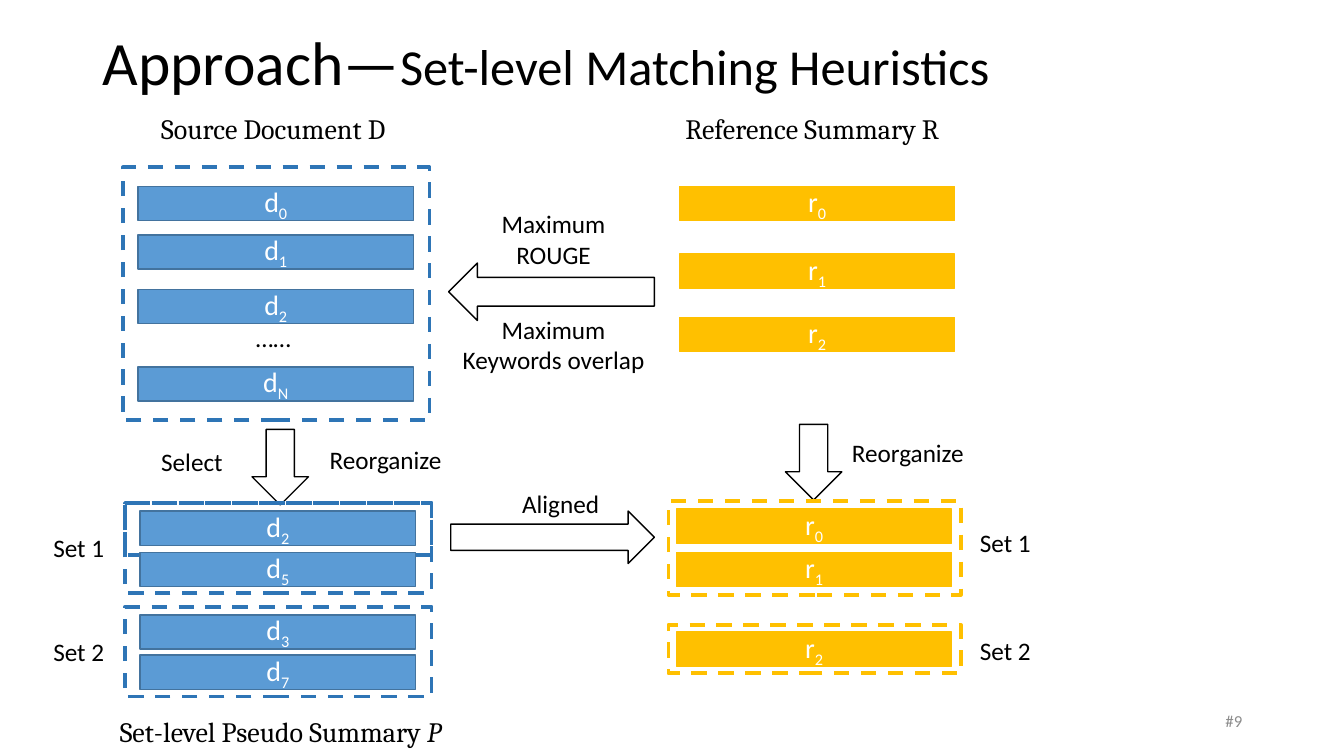
"""Build the slide on set-level matching heuristics."""
from pptx import Presentation
from pptx.dml.color import RGBColor
from pptx.enum.dml import MSO_LINE_DASH_STYLE as DASH
from pptx.enum.shapes import MSO_SHAPE as SHAPE
from pptx.enum.text import MSO_ANCHOR as ANCHOR, PP_ALIGN as ALIGN
from pptx.util import Emu, Pt

PX = 9144
BAR_WIDTH, BAR_HEIGHT = 273, 34
COLORS = {
    "black": "000000", "white": "FFFFFF", "gray": "8C8C8C",
    "blue": "5B9BD5", "blue_edge": "43739E", "blue_frame": "2E75B6",
    "gold": "FFC000",
}
DOCUMENT = {"fill": "blue", "edge": "blue_edge", "frame": "blue_frame"}
SUMMARY = {"fill": "gold", "edge": "gold", "frame": "gold"}


def color(name):
    """Return the named colour."""
    return RGBColor.from_string(COLORS[name])


def emu(box):
    """Turn a box in px into lengths in EMU."""
    return [Emu(length * PX) for length in box]


def add_span(para, text, size, name="black", font="Calibri"):
    """Add one formatted run to a paragraph."""
    span = para.add_run()
    span.text = text
    span.font.size = Pt(size)
    span.font.name = font
    span.font.color.rgb = color(name)
    return span


def add_text(page, box, lines, size=18, name="black", font="Calibri",
             align=ALIGN.LEFT, anchor=ANCHOR.TOP, wrap=False):
    """Add a text box with one paragraph per line and return its frame."""
    frame = page.shapes.add_textbox(*emu(box)).text_frame
    frame.word_wrap = wrap
    frame.vertical_anchor = anchor
    for index, line in enumerate(lines):
        para = frame.add_paragraph() if index else frame.paragraphs[0]
        para.alignment = align
        add_span(para, line, size, name, font)
    return frame


def add_block(page, kind, box, fill, edge, weight=1):
    """Add a preset shape with a plain fill and outline."""
    block = page.shapes.add_shape(kind, *emu(box))
    block.shadow.inherit = False
    if fill:
        block.fill.solid()
        block.fill.fore_color.rgb = color(fill)
    else:
        block.fill.background()
    block.line.color.rgb = color(edge)
    block.line.width = Pt(weight)
    return block


def add_frame(page, box, name):
    """Add a dashed frame."""
    frame = add_block(page, SHAPE.RECTANGLE, box, None, name, 2.75)
    frame.line.dash_style = DASH.DASH


def add_bar(page, left, top, label, palette):
    """Add a sentence bar whose label is a letter with a subscript."""
    bar = add_block(page, SHAPE.RECTANGLE, (left, top, BAR_WIDTH, BAR_HEIGHT),
                    palette["fill"], palette["edge"])
    bar.text_frame.vertical_anchor = ANCHOR.MIDDLE
    para = bar.text_frame.paragraphs[0]
    para.alignment = ALIGN.CENTER
    add_span(para, label[0], 20, "white")
    index = add_span(para, label[1:], 20, "white")
    index.font._element.set("baseline", "-25000")


def sentence_group(page, box, palette, bars, framed=True):
    """Place bars centred across a box, each at its offset from the top."""
    left, top, width, _ = box
    if framed:
        add_frame(page, box, palette["frame"])
    for label, offset in bars.items():
        add_bar(page, left + (width - BAR_WIDTH) // 2, top + offset, label, palette)


def title_region(page, box):
    """Write the two-size title."""
    frame = add_text(page, box, ["Approach—"], 44, anchor=ANCHOR.MIDDLE, wrap=True)
    frame.paragraphs[0].line_spacing = 0.9
    add_span(frame.paragraphs[0], "Set-level Matching Heuristics", 36)


def document_region(page, box):
    """Draw the source document with its heading and sentences."""
    left, top, _, _ = box
    add_text(page, (left + 28, top - 60, 255, 44), ["Source Document D"], 20, font="Cambria")
    sentence_group(page, box, DOCUMENT, {"d0": 19, "d1": 67, "d2": 121, "dN": 198})
    add_text(page, (left + 122, top + 149, 61, 66), ["……"])


def reference_region(page, box):
    """Draw the reference summary with its heading and sentences."""
    left, top, _, _ = box
    add_text(page, (left - 4, top - 79, 275, 44), ["Reference Summary R"], 20, font="Cambria")
    sentence_group(page, box, SUMMARY, {"r0": 0, "r1": 67, "r2": 130}, framed=False)


def matching_region(page, box):
    """Draw the matching arrow between its two criteria."""
    left, top, width, _ = box
    add_text(page, (left, top, width, 71), ["Maximum", "ROUGE"], align=ALIGN.CENTER)
    add_text(page, (left, top + 105, width, 71), ["Maximum", "Keywords overlap"],
             align=ALIGN.CENTER)
    add_block(page, SHAPE.LEFT_ARROW, (left - 2, top + 59, width, 57), "white", "black")


def step_region(page, box, labels):
    """Draw a down arrow with labels at offsets from its corner."""
    left, top, _, _ = box
    add_block(page, SHAPE.DOWN_ARROW, box, "white", "black")
    for text, (across, down, width) in labels.items():
        add_text(page, (left + across, top + down, width, 40), [text])


def aligned_region(page, box):
    """Draw the arrow that aligns the sets."""
    left, top, _, _ = box
    add_block(page, SHAPE.RIGHT_ARROW, box, "white", "black")
    add_text(page, (left + 61, top - 27, 98, 40), ["Aligned"])


def pseudo_region(page, box):
    """Draw the sets of the pseudo summary with their caption."""
    left, top, width, _ = box
    add_frame(page, (left, top, width, 52), DOCUMENT["frame"])
    groups = [("Set 1", 0, {"d2": 8, "d5": 49}), ("Set 2", 103, {"d3": 8, "d7": 48})]
    for name, offset, bars in groups:
        sentence_group(page, (left, top + offset, width, 89), DOCUMENT, bars)
        add_text(page, (left - 81, top + offset + 24, 71, 40), [name])
    frame = add_text(page, (left - 15, top + 205, 354, 44), ["Set-level Pseudo Summary "],
                     20, font="Cambria")
    symbol = add_span(frame.paragraphs[0], "P", 20, font="Cambria")
    symbol.font.italic = True


def reference_sets_region(page, box):
    """Draw the reorganized sets of the reference summary."""
    left, top, width, _ = box
    groups = [("Set 1", 0, 93, 21, {"r0": 8, "r1": 51}), ("Set 2", 123, 48, 5, {"r2": 7})]
    for name, offset, height, label_offset, bars in groups:
        sentence_group(page, (left, top + offset, width, height), SUMMARY, bars)
        add_text(page, (left + width + 9, top + offset + label_offset, 71, 40), [name])


def main():
    """Build and save the deck."""
    deck = Presentation()
    deck.slide_width, deck.slide_height = emu((1333, 750))
    page = deck.slides.add_slide(deck.slide_layouts[6])
    title_region(page, (92, -8, 1150, 145))
    document_region(page, (122, 166, 304, 251))
    reference_region(page, (674, 185, 273, 164))
    matching_region(page, (447, 202, 204, 176))
    step_region(page, (250, 426, 56, 75),
                {"Select": (-100, 12, 82), "Reorganize": (67, 10, 132)})
    step_region(page, (779, 421, 56, 75), {"Reorganize": (56, 8, 132)})
    aligned_region(page, (447, 507, 202, 52))
    pseudo_region(page, (124, 499, 304, 192))
    reference_sets_region(page, (663, 497, 290, 171))
    add_text(page, (942, 695, 300, 40), ["#9"], 12, "gray", align=ALIGN.RIGHT,
             anchor=ANCHOR.MIDDLE, wrap=True)
    deck.save("out.pptx")


if __name__ == "__main__":
    main()
